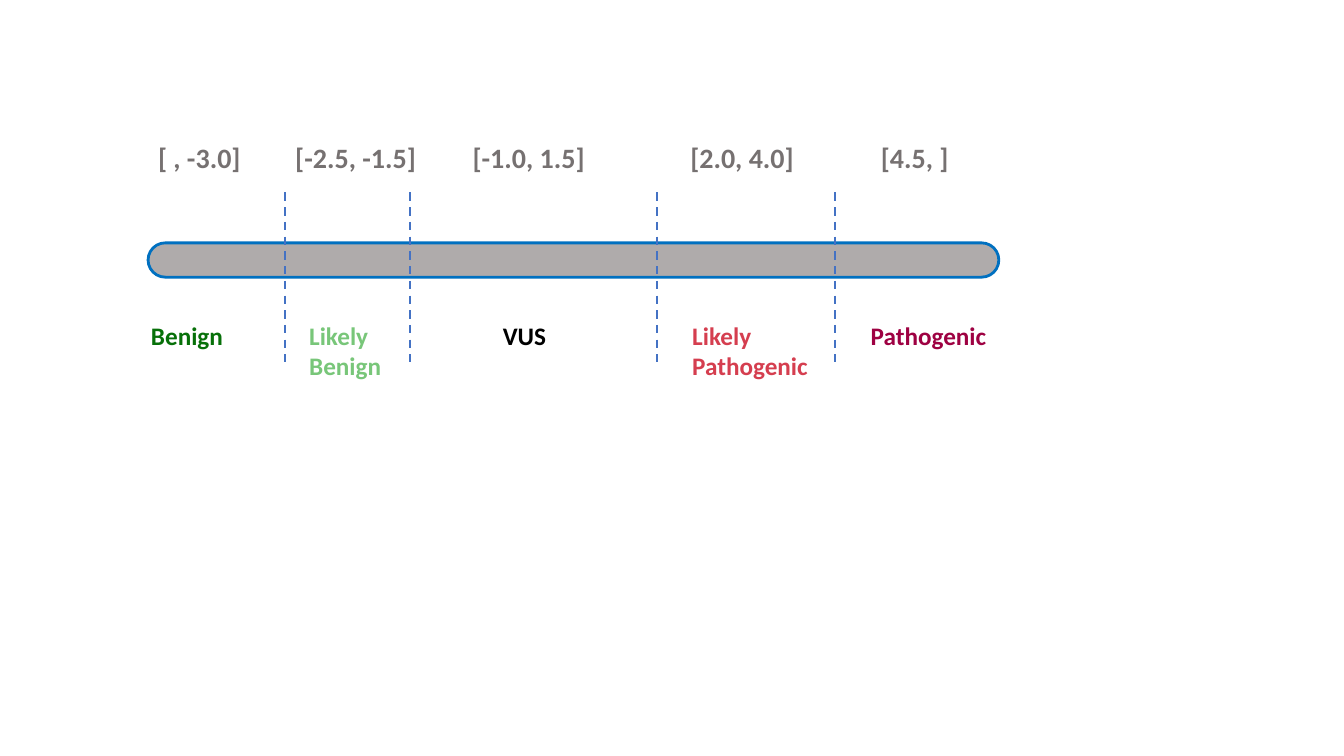
from lxml.etree import SubElement
from pptx import Presentation
from pptx.dml.color import RGBColor
from pptx.enum.dml import MSO_LINE
from pptx.enum.shapes import MSO_CONNECTOR, MSO_SHAPE
from pptx.enum.text import MSO_AUTO_SIZE
from pptx.oxml.ns import qn
from pptx.util import Pt

# Content: class, colour key, left, width; score range, left, width
CLASSES = [
    ("Benign", "benign", 100.8, 81.4, "[ , -3.0]", 105.8, 95),
    ("Likely Benign", "likely_benign", 213.8, 81.4, "[-2.5, -1.5]", 203.8, 118.1),
    ("VUS", "vus", 352.1, 81.4, "[-1.0, 1.5]", 330.5, 110.2),
    ("Likely Pathogenic", "likely_path", 487.4, 103, "[2.0, 4.0]", 486, 110.2),
    ("Pathogenic", "path", 614.9, 103, "[4.5, ]", 622.1, 110.2),
]
CUTS = [203.8, 293, 469.4, 596.2]
BAR = (105.8, 173.5, 607.7, 24.5)
CUT_TOP, CUT_END = 137.5, 258.5
RANGE_TOP, CLASS_TOP = 96.5, 225.4

THEME = {
    "font": "Calibri", "range_size": 20, "class_size": 18,
    "bar": "AFABAB", "edge": "0070C0", "cut": "4472C4", "range": "767171",
    "benign": "077009", "likely_benign": "78C679", "vus": "000000",
    "likely_path": "D53E4F", "path": "9E0142",
}


def color(key):
    return RGBColor.from_string(THEME[key])


def add_text(slide, text, *, left, top, width, size, tint):
    lines = 2 if text.startswith("Likely") else 1
    high = 7.2 + lines * size * 1.22
    box = slide.shapes.add_textbox(Pt(left), Pt(top), Pt(width), Pt(high))
    frame = box.text_frame
    frame.word_wrap = True
    frame.auto_size = MSO_AUTO_SIZE.SHAPE_TO_FIT_TEXT
    run = frame.paragraphs[0].add_run()
    run.text = text
    font = run.font
    font.name, font.size, font.bold = THEME["font"], Pt(size), True
    font.color.rgb = color(tint)


def add_cut(slide, x):
    cut = slide.shapes.add_connector(
        MSO_CONNECTOR.STRAIGHT, Pt(x), Pt(CUT_TOP), Pt(x), Pt(CUT_END))
    cut.line.color.rgb = color("cut")
    cut.line.width = Pt(1.5)
    cut.line.dash_style = MSO_LINE.DASH
    SubElement(cut.element.spPr, qn("a:effectLst"))


def main():
    deck = Presentation()
    deck.slide_width, deck.slide_height = Pt(960), Pt(540)
    slide = deck.slides.add_slide(deck.slide_layouts[6])

    # Score bar
    bar = slide.shapes.add_shape(
        MSO_SHAPE.ROUNDED_RECTANGLE, *[Pt(n) for n in BAR])
    bar.adjustments[0] = 0.5
    bar.shadow.inherit = False
    bar.fill.solid()
    bar.fill.fore_color.rgb = color("bar")
    bar.line.color.rgb = color("edge")
    bar.line.width = Pt(2)

    # Class limits
    for x in CUTS:
        add_cut(slide, x)

    # Ranges above the bar, classes below
    for name, tint, left, width, span, span_left, span_width in CLASSES:
        add_text(slide, span, left=span_left, top=RANGE_TOP, width=span_width,
                 size=THEME["range_size"], tint="range")
        add_text(slide, name, left=left, top=CLASS_TOP, width=width,
                 size=THEME["class_size"], tint=tint)

    deck.save("out.pptx")


if __name__ == "__main__":
    main()
